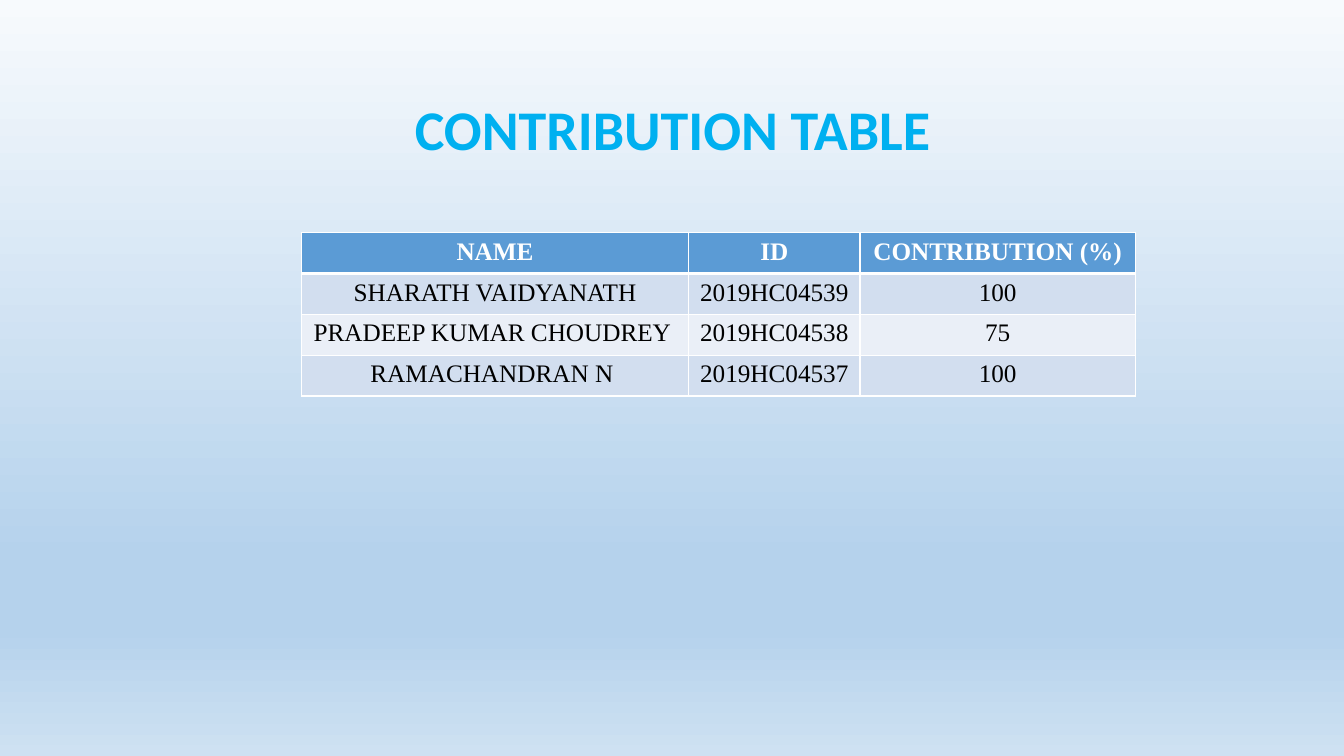
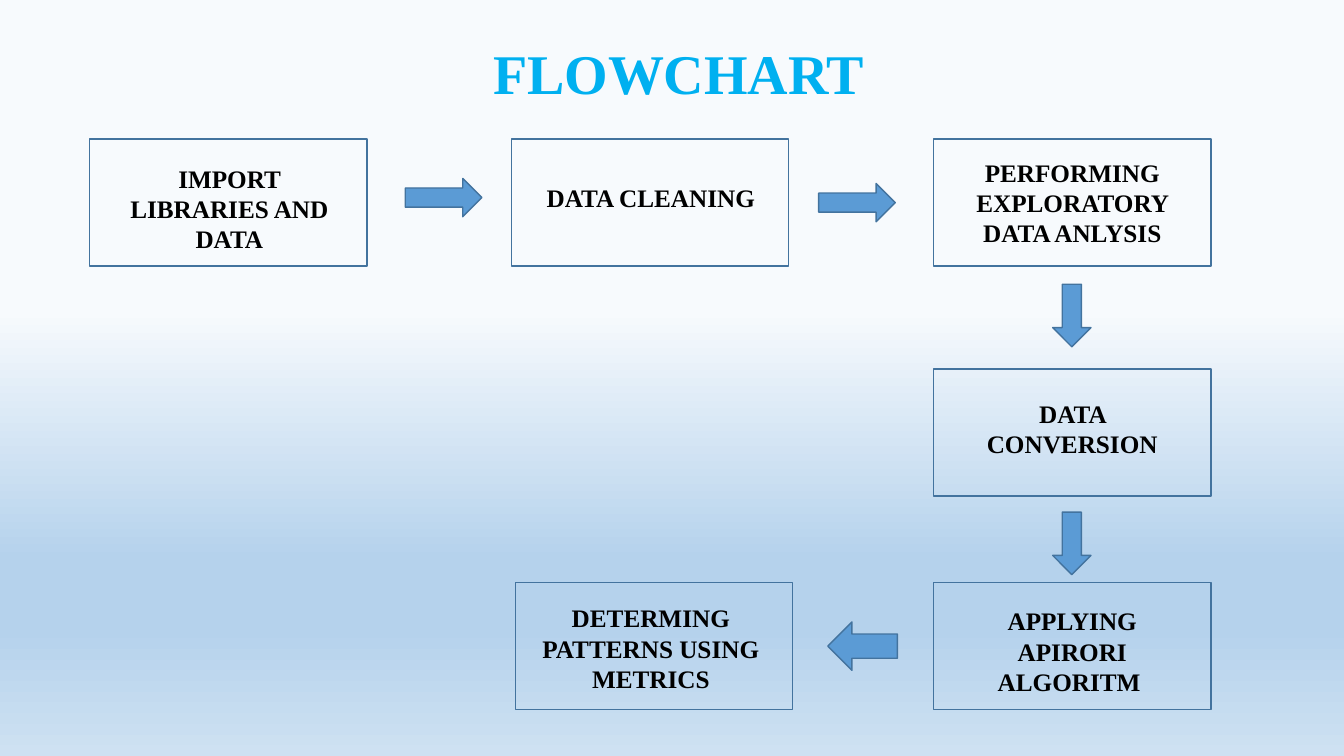
from lxml.etree import SubElement
from pptx import Presentation
from pptx.dml.color import RGBColor
from pptx.enum.shapes import MSO_SHAPE
from pptx.enum.text import MSO_ANCHOR, MSO_AUTO_SIZE, PP_ALIGN
from pptx.oxml.ns import qn
from pptx.util import Inches, Pt

COLORS = {
    "title": "00B0F0", "blue": "5B9BD5", "edge": "43739E",
    "odd": "D2DEEF", "even": "EAEFF7", "white": "FFFFFF", "black": "000000",
    "pale": "F7FAFD", "sky": "B5D2EC", "mist": "CEE1F2",
}
SERIF = "Times New Roman"

ROWS = [
    ("NAME", "ID", "CONTRIBUTION (%)"),
    ("SHARATH VAIDYANATH", "2019HC04539", "100"),
    ("PRADEEP KUMAR CHOUDREY ", "2019HC04538", "75"),
    ("RAMACHANDRAN N ", "2019HC04537", "100"),
]
WIDTHS = (3.84, 1.7, 2.73)

BOX = (2.75, 1.26)
# left, top, left inset, top inset, text
STEPS = [
    (0.89, 1.38, 0.26, 0.24, "IMPORT LIBRARIES AND DATA"),
    (5.07, 1.38, 0.26, 0.43, "DATA CLEANING"),
    (9.26, 1.38, 0.25, 0.18, "PERFORMING EXPLORATORY DATA ANLYSIS"),
    (9.26, 3.66, 0.25, 0.29, "DATA CONVERSION"),
    (9.26, 5.78, 0.25, 0.23, "APPLYING APIRORI ALGORITM "),
    (5.11, 5.78, 0.22, 0.2, "DETERMING PATTERNS USING METRICS"),
]
INSETS = 0.5  # left and right inset together

ARROWS = [
    (MSO_SHAPE.RIGHT_ARROW, 4.02, 1.77, 0.76, 0.38),
    (MSO_SHAPE.RIGHT_ARROW, 8.12, 1.82, 0.76, 0.38),
    (MSO_SHAPE.DOWN_ARROW, 10.44, 2.82, 0.38, 0.62),
    (MSO_SHAPE.DOWN_ARROW, 10.44, 5.08, 0.38, 0.62),
    (MSO_SHAPE.LEFT_ARROW, 8.21, 6.17, 0.69, 0.48),
]


def rgb(name):
    return RGBColor.from_string(COLORS[name])


def write(frame, text, size, font, color, bold=True):
    para = frame.paragraphs[0]
    para.alignment = PP_ALIGN.CENTER
    run = para.add_run()
    run.text = text
    run.font.size = Pt(size)
    run.font.name = font
    run.font.bold = bold
    run.font.color.rgb = rgb(color)


def add_page(deck, title, font, place, start):
    """Add a slide with its title; the gradient stays pale until start percent."""
    slide = deck.slides.add_slide(deck.slide_layouts[6])
    fill = slide.background.fill
    fill.gradient()
    fill.gradient_angle = 270
    stops = slide.element.find(".//" + qn("a:gsLst"))
    for stop in list(stops):
        stops.remove(stop)
    for pos, name in ((start, "pale"), (74, "sky"), (83, "sky"), (100, "mist")):
        stop = SubElement(stops, qn("a:gs"), pos=str(pos * 1000))
        SubElement(stop, qn("a:srgbClr"), val=COLORS[name])

    frame = slide.shapes.add_textbox(*map(Inches, place)).text_frame
    frame.word_wrap = False
    frame.auto_size = MSO_AUTO_SIZE.SHAPE_TO_FIT_TEXT
    write(frame, title, 40, font, "title")
    return slide


def set_edge(cell, side, width):
    line = SubElement(cell._tc.get_or_add_tcPr(), qn("a:ln" + side), w=str(Pt(width)))
    fill = SubElement(line, qn("a:solidFill"))
    SubElement(fill, qn("a:srgbClr"), val=COLORS["white"])


def add_grid(slide):
    high = Inches(1.62)
    table = slide.shapes.add_table(
        len(ROWS), len(WIDTHS), Inches(2.99), Inches(2.31),
        Inches(sum(WIDTHS)), high).table
    for col, width in zip(table.columns, WIDTHS):
        col.width = Inches(width)
    for r, row in enumerate(ROWS):
        table.rows[r].height = high // len(ROWS)
        head = r == 0
        shade = "blue" if head else "odd" if r % 2 else "even"
        thick = {0: "B", 1: "T"}.get(r)
        for c, text in enumerate(row):
            cell = table.cell(r, c)
            for side in "LRTB":
                set_edge(cell, side, 3 if side == thick else 1)
            cell.fill.solid()
            cell.fill.fore_color.rgb = rgb(shade)
            write(cell.text_frame, text, 18, SERIF, "white" if head else "black", head)


def add_form(slide, kind, place, fill=None):
    """Add an outlined shape, hollow unless a fill is named."""
    form = slide.shapes.add_shape(kind, *map(Inches, place))
    form.shadow.inherit = False
    form.line.color.rgb = rgb("edge")
    form.line.width = Pt(1)
    if fill:
        form.fill.solid()
        form.fill.fore_color.rgb = rgb(fill)
    else:
        form.fill.background()
    return form


def add_flow(slide):
    for left, top, side, drop, text in STEPS:
        frame = add_form(slide, MSO_SHAPE.RECTANGLE, (left, top, *BOX)).text_frame
        frame.word_wrap = True
        frame.vertical_anchor = MSO_ANCHOR.TOP
        frame.margin_left = Inches(side)
        frame.margin_right = Inches(INSETS - side)
        frame.margin_top = Inches(drop)
        frame.margin_bottom = 0
        write(frame, text, 18, SERIF, "black")
    for kind, *place in ARROWS:
        add_form(slide, kind, place, "blue")


def main():
    deck = Presentation()
    deck.slide_width, deck.slide_height = Inches(13.33), Inches(7.5)
    add_grid(add_page(deck, "CONTRIBUTION TABLE", "Calibri", (3.99, 0.89, 5.36, 0.77), 0))
    add_flow(add_page(deck, "FLOWCHART", SERIF, (4.77, 0.33, 3.92, 0.77), 41))
    deck.save("out.pptx")


if __name__ == "__main__":
    main()
